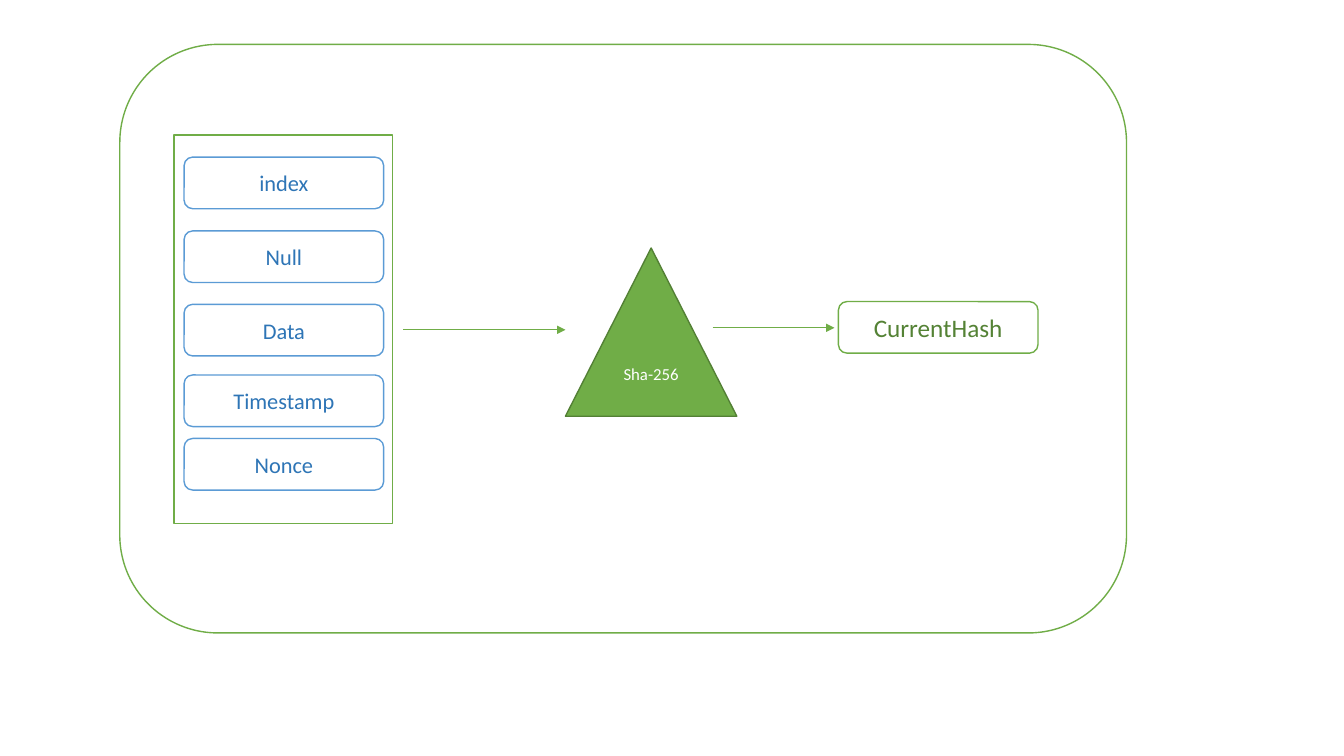
"""Draw how a block's fields are hashed with Sha-256 into its current hash."""
from lxml.etree import SubElement
from pptx import Presentation
from pptx.dml.color import RGBColor
from pptx.enum.shapes import MSO_CONNECTOR, MSO_SHAPE as Shape
from pptx.enum.text import MSO_ANCHOR, PP_ALIGN
from pptx.oxml.ns import qn
from pptx.util import Cm, Pt

COLORS = {
    "white": "FFFFFF",
    "green": "70AD47",
    "green_edge": "538035",
    "green_text": "548235",
    "blue": "5B9BD5",
    "blue_text": "2E75B6",
}
FIELD_TOPS = {"index": 3.96, "Null": 5.82, "Data": 7.67, "Timestamp": 9.45, "Nonce": 11.05}
FIELD_LEFT = 4.64
LABEL_SIZE = (5.03, 1.3)


def rgb(name):
    return RGBColor.from_string(COLORS[name])


def add_block(slide, kind, box, fill="white", line="green"):
    block = slide.shapes.add_shape(kind, *map(Cm, box))
    block.shadow.inherit = False
    block.fill.solid()
    block.fill.fore_color.rgb = rgb(fill)
    block.line.color.rgb = rgb(line)
    block.line.width = Pt(1)
    return block


def write_label(block, text, size, color):
    frame = block.text_frame
    frame.text = text
    frame.word_wrap = True
    frame.vertical_anchor = MSO_ANCHOR.MIDDLE
    paragraph = frame.paragraphs[0]
    paragraph.alignment = PP_ALIGN.CENTER
    font = paragraph.runs[0].font
    font.name = "Calibri"
    font.size = Pt(size)
    font.color.rgb = rgb(color)


def add_arrow(slide, start, end, height):
    arrow = slide.shapes.add_connector(
        MSO_CONNECTOR.STRAIGHT, Cm(start), Cm(height), Cm(end), Cm(height))
    arrow.line.color.rgb = rgb("green")
    arrow.line.width = Pt(0.5)
    SubElement(arrow.line._get_or_add_ln(), qn("a:tailEnd"), type="triangle")
    SubElement(arrow._element.spPr, qn("a:effectLst"))


def main():
    deck = Presentation()
    deck.slide_width, deck.slide_height = Cm(33.87), Cm(19.05)
    slide = deck.slides.add_slide(deck.slide_layouts[6])

    add_block(slide, Shape.ROUNDED_RECTANGLE, (3.02, 1.12, 25.37, 14.83))
    add_block(slide, Shape.RECTANGLE, (4.39, 3.4, 5.51, 9.8))
    for name, top in FIELD_TOPS.items():
        field = add_block(slide, Shape.ROUNDED_RECTANGLE,
                          (FIELD_LEFT, top, *LABEL_SIZE), line="blue")
        write_label(field, name, 16, "blue_text")

    current_hash = add_block(slide, Shape.ROUNDED_RECTANGLE, (21.13, 7.6, *LABEL_SIZE))
    write_label(current_hash, "CurrentHash", 18, "green_text")
    hash_function = add_block(slide, Shape.ISOSCELES_TRIANGLE,
                              (14.25, 6.25, 4.32, 4.24), "green", "green_edge")
    write_label(hash_function, "Sha-256", 12, "white")

    add_arrow(slide, 10.16, 14.25, 8.31)
    add_arrow(slide, 17.96, 21.03, 8.26)
    deck.save("out.pptx")


if __name__ == "__main__":
    main()
